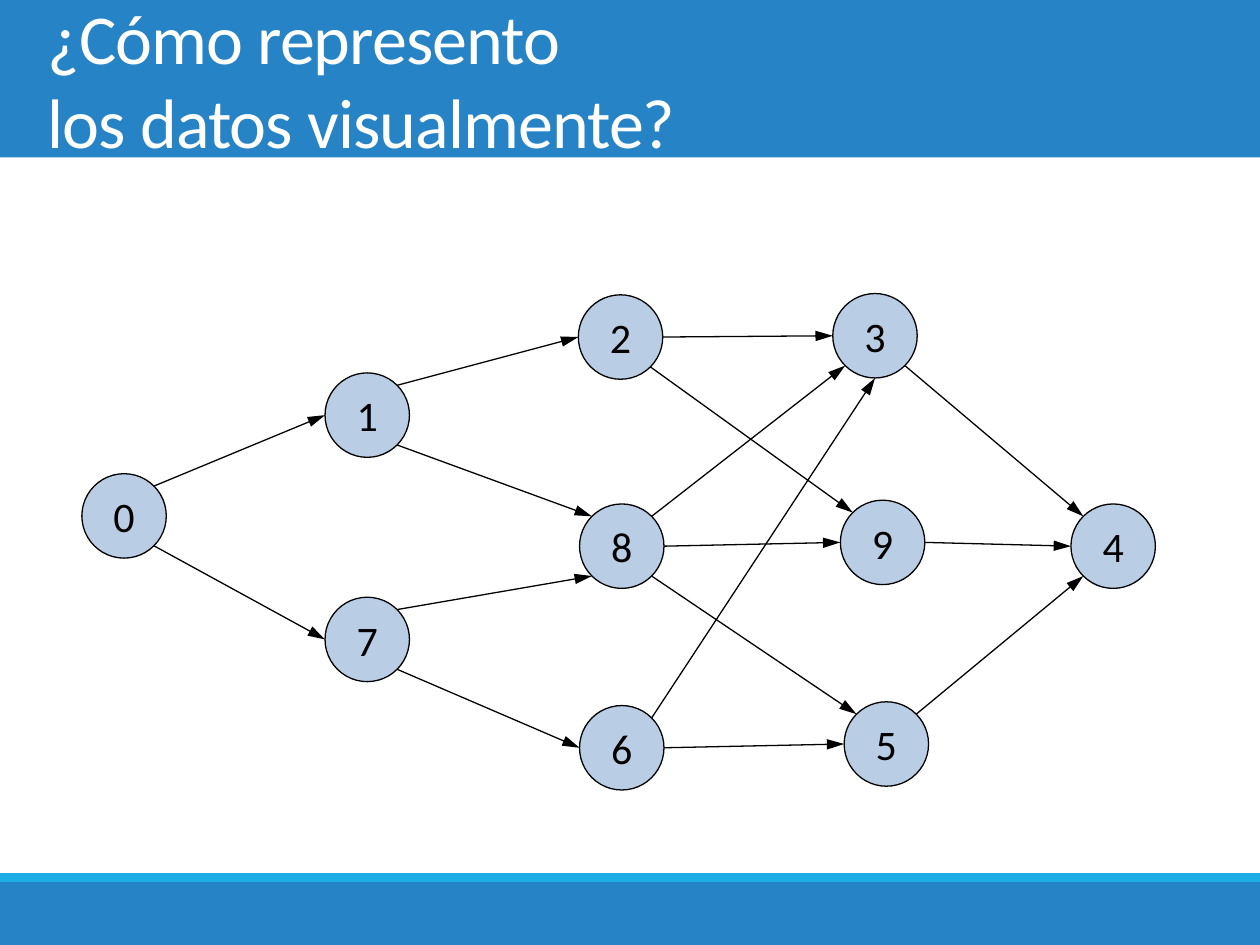
from math import cos, radians, sin

from lxml import etree
from pptx import Presentation
from pptx.dml.color import RGBColor
from pptx.enum.shapes import MSO_CONNECTOR, MSO_SHAPE
from pptx.enum.text import MSO_ANCHOR, MSO_AUTO_SIZE, PP_ALIGN
from pptx.oxml.ns import qn
from pptx.util import Inches, Pt

RECTANGLE, OVAL = MSO_SHAPE.RECTANGLE, MSO_SHAPE.OVAL
STRAIGHT = MSO_CONNECTOR.STRAIGHT
MIDDLE = MSO_ANCHOR.MIDDLE
LEFT, CENTER = PP_ALIGN.LEFT, PP_ALIGN.CENTER
NO_AUTOFIT = MSO_AUTO_SIZE.NONE

TITLE = "¿Cómo represento\vlos datos visualmente?"
FONT = "Calibri"
COLORS = {
    "band": "2683C6",
    "accent": "1CADE4",
    "node": "B9CDE5",
    "ink": "000000",
    "title": "FFFFFF",
}
BANDS = [(0, 1.25, "band"), (7, 0.5, "band"), (6.93, 0.07, "accent")]
DIAMETER = 0.67
NODES = {
    "0": (0.65, 3.76),
    "1": (2.58, 2.96),
    "2": (4.59, 2.34),
    "3": (6.61, 2.33),
    "4": (8.5, 4),
    "5": (6.7, 5.57),
    "6": (4.6, 5.6),
    "7": (2.58, 4.74),
    "8": (4.6, 4),
    "9": (6.67, 3.97),
}
ANGLES = {"E": 0, "SE": 45, "S": 90, "SW": 135, "W": 180, "NW": 225, "NE": 315}
EDGES = [
    ("0", "NE", "1", "W"),
    ("0", "SE", "7", "W"),
    ("1", "NE", "2", "W"),
    ("1", "SE", "8", "NW"),
    ("7", "NE", "8", "SW"),
    ("7", "SE", "6", "W"),
    ("2", "E", "3", "W"),
    ("2", "SE", "9", "NW"),
    ("8", "NE", "3", "SW"),
    ("8", "E", "9", "W"),
    ("8", "SE", "5", "NW"),
    ("6", "NE", "3", "S"),
    ("6", "E", "5", "W"),
    ("3", "SE", "4", "NW"),
    ("9", "E", "4", "W"),
    ("5", "NE", "4", "SW"),
]


def color(name):
    return RGBColor.from_string(COLORS[name])


def style_text(paragraph, size, name, alignment):
    paragraph.alignment = alignment
    paragraph.font.name = FONT
    paragraph.font.size = Pt(size)
    paragraph.font.color.rgb = color(name)


def add_filled(slide, kind, left, top, width, height, fill):
    shape = slide.shapes.add_shape(
        kind, Inches(left), Inches(top), Inches(width), Inches(height))
    shape.shadow.inherit = False
    shape.fill.solid()
    shape.fill.fore_color.rgb = color(fill)
    return shape


def add_title(slide):
    title = slide.shapes.title
    title.left, title.top = Inches(0.28), Inches(0)
    title.width, title.height = Inches(9.45), Inches(1.25)
    frame = title.text_frame
    frame.text = TITLE
    frame.word_wrap = True
    frame.auto_size = NO_AUTOFIT
    frame.vertical_anchor = MIDDLE
    heading = frame.paragraphs[0]
    style_text(heading, 40, "title", LEFT)
    heading.line_spacing = 1.0
    for run in heading.runs:
        run.font.size = Pt(40)
        run._r.get_or_add_rPr().set("spc", "-50")
    slide.shapes._spTree.append(title._element)


def add_node(slide, label, left, top):
    node = add_filled(slide, OVAL, left, top, DIAMETER, DIAMETER, "node")
    node.line.color.rgb = color("ink")
    node.line.width = Pt(0.75)
    frame = node.text_frame
    frame.text = label
    frame.word_wrap = False
    frame.vertical_anchor = MIDDLE
    style_text(frame.paragraphs[0], 24, "ink", CENTER)


def rim_point(label, side):
    left, top = NODES[label]
    radius = DIAMETER / 2
    angle = radians(ANGLES[side])
    return (Inches(left + radius * (1 + cos(angle))),
            Inches(top + radius * (1 + sin(angle))))


def add_edge(slide, source, exit_side, target, entry_side):
    edge = slide.shapes.add_connector(
        STRAIGHT, *rim_point(source, exit_side), *rim_point(target, entry_side))
    edge.line.color.rgb = color("ink")
    edge.line.width = Pt(0.75)
    etree.SubElement(edge.line._get_or_add_ln(), qn("a:tailEnd"),
                     type="triangle", w="med", len="lg")
    etree.SubElement(edge._element.spPr, qn("a:effectLst"))


def main():
    deck = Presentation()
    deck.slide_width, deck.slide_height = Inches(10), Inches(7.5)
    slide = deck.slides.add_slide(deck.slide_layouts[5])
    for top, height, fill in BANDS:
        add_filled(slide, RECTANGLE, 0, top, 10, height, fill).line.fill.background()
    add_title(slide)
    for label, (left, top) in NODES.items():
        add_node(slide, label, left, top)
    for edge in EDGES:
        add_edge(slide, *edge)
    deck.save("out.pptx")


if __name__ == "__main__":
    main()
